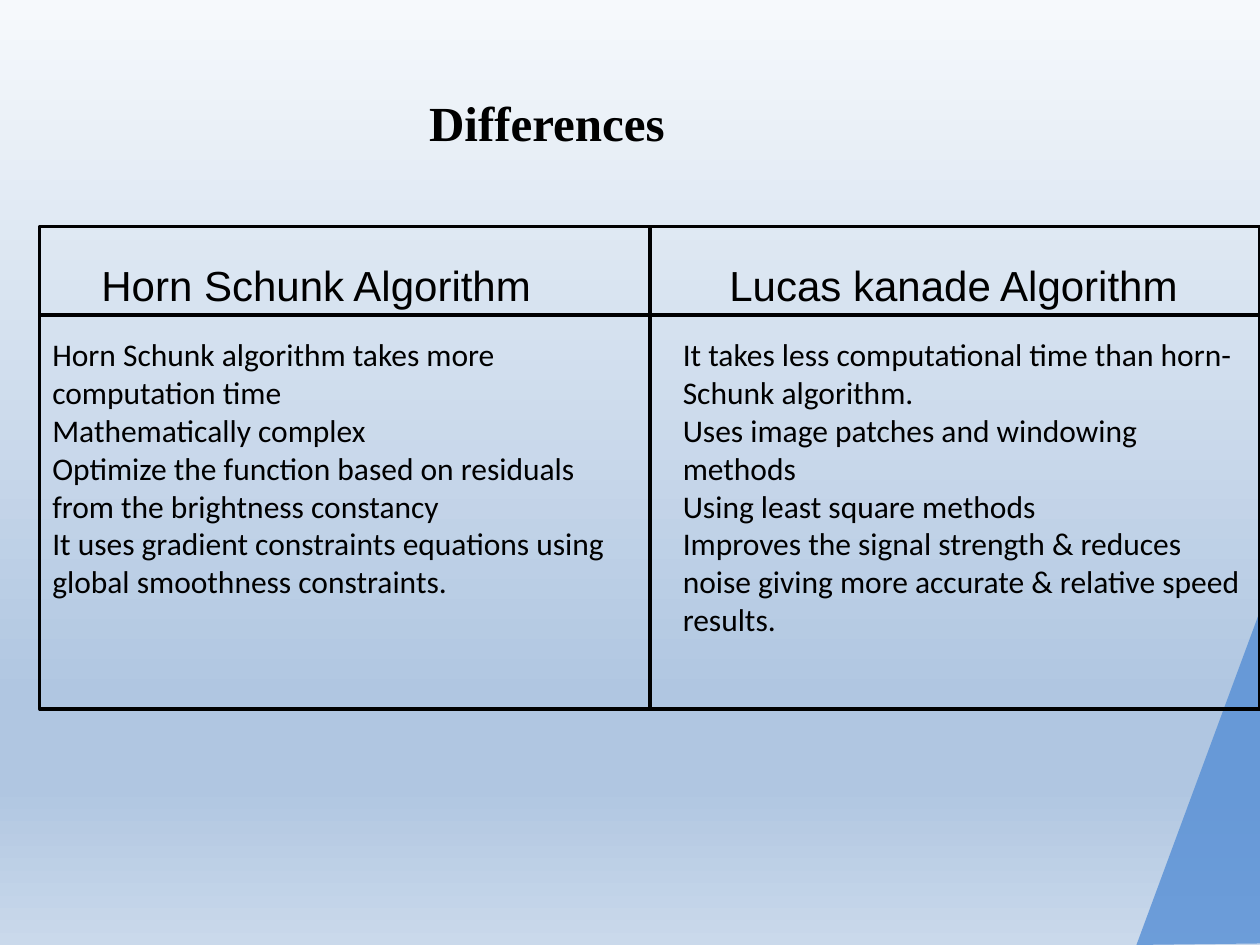
from copy import deepcopy

from lxml import etree
from pptx import Presentation
from pptx.dml.color import RGBColor
from pptx.enum.shapes import MSO_SHAPE
from pptx.enum.text import MSO_ANCHOR, MSO_AUTO_SIZE, PP_ALIGN
from pptx.oxml.ns import qn
from pptx.util import Cm, Pt

RECTANGLE = MSO_SHAPE.RECTANGLE
TOP, MIDDLE = MSO_ANCHOR.TOP, MSO_ANCHOR.MIDDLE
LEFT, CENTER = PP_ALIGN.LEFT, PP_ALIGN.CENTER
NO_AUTOFIT = MSO_AUTO_SIZE.NONE

BLACK = RGBColor(0x00, 0x00, 0x00)
ACCENT_BLUE = RGBColor(0x55, 0x8E, 0xD5)
PALE = RGBColor(0xF6, 0xF9, 0xFC)
STEEL = RGBColor(0xB0, 0xC6, 0xE1)
MIST = RGBColor(0xCA, 0xD9, 0xEB)
BACKGROUND_STOPS = [(0, PALE), (0.74, STEEL), (0.83, STEEL), (1, MIST)]

COMPARISON_LAYOUT = 4
COLUMNS = [
    ("Horn Schunk Algorithm", [
        "Horn Schunk algorithm takes more computation time",
        "Mathematically complex",
        "Optimize the function based on residuals from the brightness constancy",
        "It uses gradient constraints equations using global smoothness constraints.",
    ]),
    ("Lucas kanade Algorithm", [
        "It takes less computational time than horn-Schunk algorithm.",
        "Uses image patches and windowing methods",
        "Using least square methods",
        "Improves the signal strength & reduces noise giving more accurate "
        "& relative speed results.",
    ]),
]
# Left offsets of heading and list inside each column
TEXT_OFFSETS = [(Cm(0.99), Cm(0)), (Cm(1.35), Cm(0.41))]


def place(shape, left, top, width, height):
    shape.left, shape.top, shape.width, shape.height = left, top, width, height


def write_text(shape, lines, *, font, size, bold=False, align=LEFT,
               anchor=TOP, inset=Cm(0.13)):
    """Fill a placeholder with unbulleted paragraphs."""
    frame = shape.text_frame
    frame.text = "\n".join(lines)
    frame.word_wrap = True
    frame.auto_size = NO_AUTOFIT
    frame.vertical_anchor = anchor
    frame.margin_top = inset
    for paragraph in frame.paragraphs:
        paragraph.alignment = align
        paragraph.space_before = Pt(0)
        properties = paragraph._p.get_or_add_pPr()
        properties.set("marL", "0")
        properties.set("indent", "0")
        etree.SubElement(properties, qn("a:buNone"))
        run_font = paragraph.runs[0].font
        run_font.name, run_font.size, run_font.bold = font, Pt(size), bold
        run_font.color.rgb = BLACK


def paint_background(slide):
    fill = slide.background.fill
    fill.gradient()
    fill.gradient_angle = 270
    stop_list = slide.element.find(".//" + qn("a:gsLst"))
    while len(stop_list) < len(BACKGROUND_STOPS):
        stop_list.append(deepcopy(stop_list[0]))
    for stop, (position, color) in zip(fill.gradient_stops, BACKGROUND_STOPS):
        stop.position = position
        stop.color.rgb = color


def add_corner(slide, left, top, width, height):
    """Translucent wedge in the bottom right corner."""
    right, bottom = left + width, top + height
    builder = slide.shapes.build_freeform(right, top)
    builder.add_line_segments([(left, bottom), (right, bottom - Cm(0.03))])
    wedge = builder.convert_to_shape()
    wedge.shadow.inherit = False
    wedge.line.fill.background()
    wedge.fill.solid()
    wedge.fill.fore_color.rgb = ACCENT_BLUE
    color = wedge._element.spPr.find(".//" + qn("a:srgbClr"))
    etree.SubElement(color, qn("a:alpha"), val="80000")


def add_frame(slide, left, top, width, height):
    frame = slide.shapes.add_shape(RECTANGLE, left, top, width, height)
    frame.shadow.inherit = False
    frame.fill.background()
    frame.line.color.rgb = BLACK
    frame.line.width = Pt(2)


def fill_column(slide, number, left, top, width, height):
    """Framed heading and list of one algorithm."""
    heading_text, points = COLUMNS[number]
    heading_offset, list_offset = TEXT_OFFSETS[number]
    heading = slide.placeholders[2 * number + 1]
    place(heading, left + heading_offset, top + Cm(0.46), Cm(11.1), Cm(1.6))
    write_text(heading, [heading_text], font="Arial", size=24, inset=Cm(0.2))
    body = slide.placeholders[2 * number + 2]
    place(body, left + list_offset, top + Cm(2.06), Cm(12.05), Cm(9.32))
    write_text(body, points, font="Calibri", size=18)
    for frame_height in (height, Cm(1.78)):
        add_frame(slide, left, top, width, frame_height)


def main():
    presentation = Presentation()
    presentation.slide_width, presentation.slide_height = Cm(25.4), Cm(19.05)
    slide = presentation.slides.add_slide(
        presentation.slide_layouts[COMPARISON_LAYOUT])
    paint_background(slide)

    # Title
    title = slide.shapes.title
    place(title, Cm(2.21), Cm(1.73), Cm(17.63), Cm(1.45))
    write_text(title, ["Differences"], font="Times New Roman", size=28,
               bold=True, align=CENTER, anchor=MIDDLE)

    add_corner(slide, Cm(22.91), Cm(12.32), Cm(2.49), Cm(6.73))

    # Two equal columns
    left, width = Cm(0.8), Cm(12.3)
    for number in range(len(COLUMNS)):
        fill_column(slide, number, left + number * width, Cm(4.57),
                    width, Cm(9.72))

    presentation.save("out.pptx")


if __name__ == "__main__":
    main()
